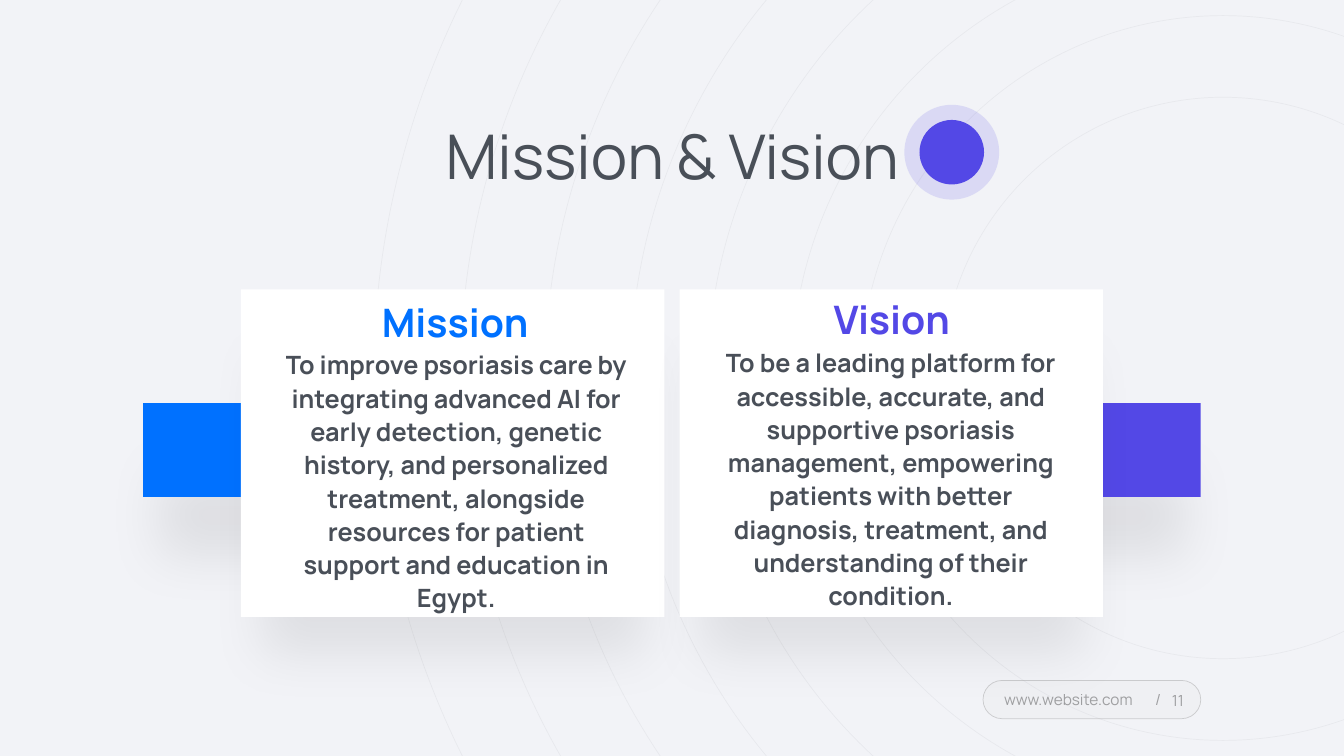
from dataclasses import dataclass

from lxml.etree import SubElement
from pptx import Presentation
from pptx.dml.color import RGBColor
from pptx.enum.shapes import MSO_SHAPE
from pptx.enum.text import MSO_ANCHOR, MSO_AUTO_SIZE, PP_ALIGN
from pptx.oxml.ns import qn
from pptx.util import Inches, Pt

BACKGROUND = RGBColor(0xF2, 0xF3, 0xF7)
SLATE = RGBColor(0x49, 0x4F, 0x58)
BLUE = RGBColor(0x00, 0x71, 0xFF)
VIOLET = RGBColor(0x53, 0x48, 0xE6)
WHITE = RGBColor(0xFF, 0xFF, 0xFF)
INK = RGBColor(0x26, 0x26, 0x26)
PILL_FILL = RGBColor(0xD9, 0xD9, 0xD9)
PILL_LINE = RGBColor(0xA6, 0xA6, 0xA6)

FONT = "Manrope"
RING_CENTER = (12.13, 3.75)
RING_DIAMETERS = (5.57, 7.19, 8.56, 10.22, 11.76, 13.45, 15.13, 16.85)
DOT_CENTER = (9.44, 1.51)
CARD_TOP, CARD_WIDTH, CARD_HEIGHT = 2.87, 4.2, 3.25
BAR_TOP, BAR_WIDTH, BAR_HEIGHT = 4, 3.1, 0.93


@dataclass(frozen=True)
class Card:
    heading: str
    statement: str
    color: RGBColor
    left: float
    bar_left: float
    heading_at: tuple[float, float]
    statement_at: tuple[float, float]
    heading_index: int
    statement_index: int


CARDS = (
    Card(
        "Mission",
        "To improve psoriasis care by integrating advanced AI for early detection, "
        "genetic history, and personalized treatment, alongside resources for "
        "patient support and education in Egypt.",
        BLUE, 2.39, 1.42, (3.26, 2.86), (2.73, 3.39), 1, 2,
    ),
    Card(
        "Vision",
        "To be a leading platform for accessible, accurate, and supportive "
        "psoriasis management, empowering patients with better diagnosis, "
        "treatment, and understanding of their condition.",
        VIOLET, 6.74, 8.81, (7.59, 2.83), (7.04, 3.37), 3, 4,
    ),
)


def set_alpha(fill, percent: int) -> None:
    color = fill._xPr.find(qn("a:solidFill"))[0]
    SubElement(color, qn("a:alpha"), val=str(percent * 1000))


def add_soft_shadow(shape) -> None:
    effects = shape._element.spPr.find(qn("a:effectLst"))
    shadow = SubElement(
        effects, qn("a:outerShdw"), blurRad=str(Pt(38)), dist=str(Pt(50)),
        dir="5400000", sx="90000", sy="90000", algn="t", rotWithShape="0",
    )
    color = SubElement(shadow, qn("a:srgbClr"), val="000000")
    SubElement(color, qn("a:alpha"), val="8000")


def draw_shape(page, kind, left: float, top: float, width: float, height: float, *,
               fill=None, fill_alpha: int = 100, line=None, line_alpha: int = 100,
               soft_shadow: bool = False):
    shape = page.shapes.add_shape(
        kind, Inches(left), Inches(top), Inches(width), Inches(height))
    shape.shadow.inherit = False
    if fill is None:
        shape.fill.background()
    else:
        shape.fill.solid()
        shape.fill.fore_color.rgb = fill
        set_alpha(shape.fill, fill_alpha)
    if line is None:
        shape.line.fill.background()
    else:
        shape.line.width = Pt(0.5)
        shape.line.color.rgb = line
        set_alpha(shape.line.fill, line_alpha)
    if soft_shadow:
        add_soft_shadow(shape)
    return shape


def draw_circle(page, center: tuple[float, float], diameter: float, **style):
    left, top = (middle - diameter / 2 for middle in center)
    return draw_shape(page, MSO_SHAPE.OVAL, left, top, diameter, diameter, **style)


def write_text(box, text: str, left: float, top: float, width: float, height: float, *,
               size: float, color: RGBColor, bold: bool = False, alpha: int = 100,
               align=PP_ALIGN.CENTER, anchor=MSO_ANCHOR.TOP,
               line_spacing: float = 1.1, tab: float | None = None) -> None:
    box.left, box.top = Inches(left), Inches(top)
    box.width, box.height = Inches(width), Inches(height)
    box._element.getparent().append(box._element)
    frame = box.text_frame
    frame.word_wrap = True
    frame.auto_size = MSO_AUTO_SIZE.NONE
    frame.vertical_anchor = anchor
    para = frame.paragraphs[0]
    para.alignment = align
    para.line_spacing = line_spacing
    para.space_before = Pt(0)
    properties = para._p.get_or_add_pPr()
    properties.set("marL", "0")
    properties.set("indent", "0")
    SubElement(properties, qn("a:buNone"))
    if tab is not None:
        stops = SubElement(properties, qn("a:tabLst"))
        SubElement(stops, qn("a:tab"), pos=str(Inches(tab)), algn="l")
    span = para.add_run()
    span.text = text
    span.font.name = FONT
    span.font.size = Pt(size)
    span.font.bold = bold
    span.font.fill.solid()
    span.font.fill.fore_color.rgb = color
    set_alpha(span.font.fill, alpha)


def add_text_box(page):
    return page.shapes.add_textbox(0, 0, Inches(1), Inches(1))


def draw_footer(page) -> None:
    pill = draw_shape(page, MSO_SHAPE.ROUNDED_RECTANGLE, 9.75, 6.75, 2.16, 0.38,
                      fill=PILL_FILL, fill_alpha=10, line=PILL_LINE, line_alpha=50)
    pill.adjustments[0] = 0.5
    style = dict(size=11, color=INK, alpha=40, line_spacing=1.0)
    write_text(add_text_box(page), "11", 11.23, 6.8, 0.61, 0.29,
               align=PP_ALIGN.RIGHT, anchor=MSO_ANCHOR.MIDDLE, **style)
    write_text(add_text_box(page), "www.website.com\t/", 9.86, 6.8, 1.8, 0.29,
               align=PP_ALIGN.LEFT, tab=1.37, **style)


def draw_card(page, card: Card) -> None:
    draw_shape(page, MSO_SHAPE.RECTANGLE, card.left, CARD_TOP, CARD_WIDTH, CARD_HEIGHT,
               fill=WHITE, soft_shadow=True)
    write_text(page.placeholders[card.statement_index], card.statement,
               *card.statement_at, 3.59, 2.75, size=18, color=SLATE, bold=True)
    write_text(page.placeholders[card.heading_index], card.heading,
               *card.heading_at, 2.51, 0.59, size=28, color=card.color, bold=True)


def main() -> None:
    deck = Presentation()
    deck.slide_width, deck.slide_height = Inches(13.33), Inches(7.5)
    page = deck.slides.add_slide(deck.slide_layouts.get_by_name("Comparison"))
    page.background.fill.solid()
    page.background.fill.fore_color.rgb = BACKGROUND

    for diameter in RING_DIAMETERS:
        draw_circle(page, RING_CENTER, diameter, line=SLATE, line_alpha=6)
    draw_footer(page)
    for card in CARDS:
        draw_shape(page, MSO_SHAPE.RECTANGLE, card.bar_left, BAR_TOP, BAR_WIDTH,
                   BAR_HEIGHT, fill=card.color, soft_shadow=True)
    write_text(page.shapes.title, "Mission & Vision", 2.17, 1.05, 9, 0.87,
               size=44, color=SLATE)
    for card in CARDS:
        draw_card(page, card)
    draw_circle(page, DOT_CENTER, 0.94, fill=VIOLET, fill_alpha=15)
    draw_circle(page, DOT_CENTER, 0.64, fill=VIOLET)
    deck.save("out.pptx")


if __name__ == "__main__":
    main()
